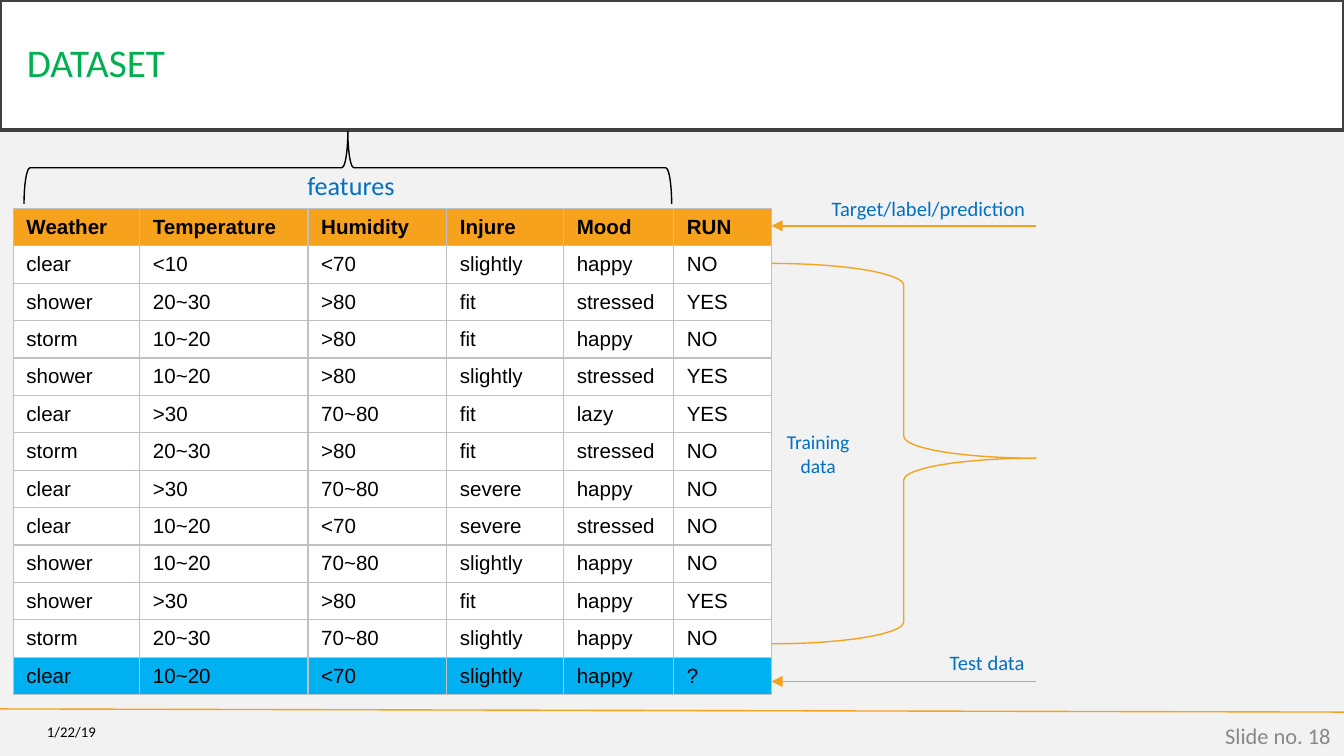
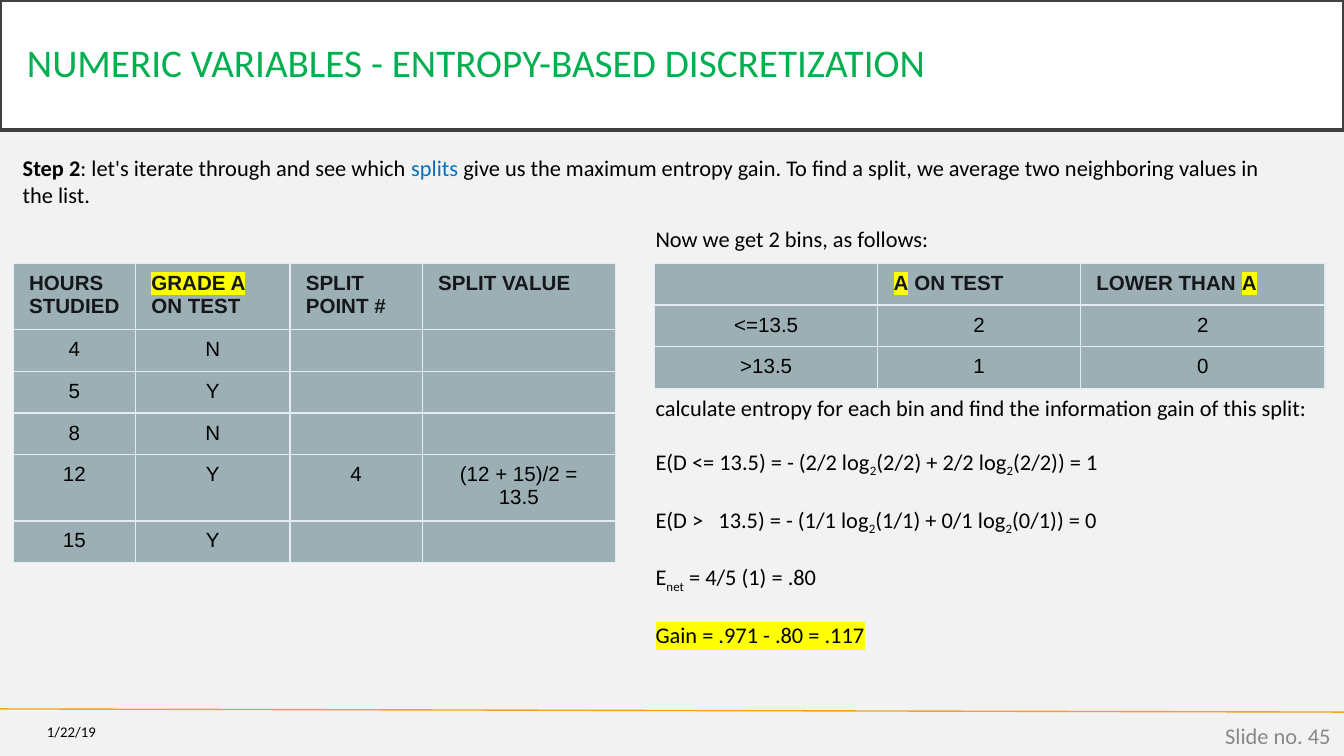
"""Build two slides on a run dataset and on entropy-based splits."""
from dataclasses import dataclass
from typing import NamedTuple

from lxml.etree import SubElement
from pptx import Presentation
from pptx.dml.color import RGBColor
from pptx.enum.shapes import MSO_CONNECTOR, MSO_SHAPE
from pptx.enum.text import MSO_ANCHOR, MSO_AUTO_SIZE, PP_ALIGN
from pptx.oxml.ns import qn
from pptx.slide import Slide
from pptx.util import Cm, Pt

HUES = {
    "page": "F2F2F2", "white": "FFFFFF", "black": "000000", "frame": "404040",
    "green": "00B050", "blue": "0070C0", "sky": "00B0F0", "gold": "F6A21D",
    "gray": "888888", "rule": "BDC1C4", "slate": "9BAFB5", "pale": "E3ECF3",
    "ink": "15171A", "mark": "FFFF00",
}
WIDE, HIGH = 25.4, 14.29
EDGE = 14.58


class Box(NamedTuple):
    """A place on the slide in centimetres."""
    x: float
    y: float
    w: float
    h: float


class Bit(NamedTuple):
    """A piece of text with its look."""
    text: str
    look: str = ""


@dataclass
class Note:
    """A text box with one or more lines."""
    box: Box
    lines: list
    size: float = 12
    hue: str = "black"
    align: PP_ALIGN = PP_ALIGN.LEFT
    grow: bool = True
    gap: float = 0


@dataclass
class Arrow:
    """A line between two points."""
    x1: float
    y1: float
    x2: float
    y2: float
    head: bool = True


@dataclass
class Brace:
    """A right brace, turned when asked."""
    box: Box
    hue: str
    mid: float = 0.5
    turn: int = 0
    text: str = ""


@dataclass
class Grid:
    """A table with its cell style."""
    box: Box
    cols: list
    row: float
    cells: list
    fills: list
    edge: str
    pad: tuple
    ink: str = "black"
    align: PP_ALIGN = PP_ALIGN.LEFT
    anchor: MSO_ANCHOR = MSO_ANCHOR.TOP


def tint(key: str) -> RGBColor:
    """Return the named colour."""
    return RGBColor.from_string(HUES[key])


def place(box: Box) -> list:
    """Return the box as lengths."""
    return [Cm(v) for v in box]


def style(run, look: str, size: float, hue: str, face: str, bold: bool) -> None:
    """Format one run."""
    font = run.font
    font.size, font.name, font.bold = Pt(size), face, bold or look == "bold"
    font.color.rgb = tint("blue" if look == "blue" else hue)
    props = run._r.get_or_add_rPr()
    if look == "sub":
        props.set("baseline", "-25000")
    elif look == "wide":
        props.set("spc", "540")
    elif look == "mark":
        mark = SubElement(props, qn("a:highlight"))
        SubElement(mark, qn("a:srgbClr"), val=HUES["mark"])
        props.find(qn("a:solidFill")).addnext(mark)


def write(para, line, size: float, hue: str, face: str = "Calibri",
          bold: bool = False) -> None:
    """Fill a paragraph with a string or a list of bits."""
    bits = [Bit(line)] if isinstance(line, str) else line
    para.text = bits[0].text
    for bit in bits[1:]:
        para.add_run().text = bit.text
    for run, bit in zip(para.runs, bits):
        style(run, bit.look, size, hue, face, bold)
    if not para.runs:
        SubElement(para._p, qn("a:endParaRPr"), sz=str(int(size * 100)))


def add_note(slide: Slide, note: Note) -> None:
    """Draw a text box."""
    frame = slide.shapes.add_textbox(*place(note.box)).text_frame
    frame.word_wrap = True
    if note.grow:
        frame.auto_size = MSO_AUTO_SIZE.SHAPE_TO_FIT_TEXT
    else:
        frame.vertical_anchor = MSO_ANCHOR.MIDDLE
    for i, line in enumerate(note.lines):
        para = frame.add_paragraph() if i else frame.paragraphs[0]
        para.alignment = note.align
        para.space_before = Pt(note.gap if i else 0)
        write(para, line, note.size, note.hue)


def add_arrow(slide: Slide, arrow: Arrow) -> None:
    """Draw a gold line, with a head if asked."""
    ends = [Cm(v) for v in (arrow.x1, arrow.y1, arrow.x2, arrow.y2)]
    link = slide.shapes.add_connector(MSO_CONNECTOR.STRAIGHT, *ends)
    link.line.color.rgb, link.line.width = tint("gold"), Pt(0.75)
    if arrow.head:
        SubElement(link.line._get_or_add_ln(), qn("a:tailEnd"), type="triangle")
    SubElement(link._element.spPr, qn("a:effectLst"))


def add_brace(slide: Slide, brace: Brace) -> None:
    """Draw a brace with its text."""
    shape = slide.shapes.add_shape(MSO_SHAPE.RIGHT_BRACE, *place(brace.box))
    shape.adjustments[0], shape.adjustments[1] = 0.083, brace.mid
    shape.rotation = brace.turn
    shape.shadow.inherit = False
    shape.fill.background()
    shape.line.color.rgb, shape.line.width = tint(brace.hue), Pt(0.75)
    if brace.text:
        para = shape.text_frame.paragraphs[0]
        para.alignment = PP_ALIGN.CENTER
        write(para, brace.text, 10.5, "blue")


def add_edges(cell, hue: str) -> None:
    """Rule all four sides of a cell."""
    props = cell._tc.get_or_add_tcPr()
    for i, side in enumerate(("lnL", "lnR", "lnT", "lnB")):
        line = SubElement(props, qn(f"a:{side}"), w=str(Pt(0.75)))
        fill = SubElement(line, qn("a:solidFill"))
        SubElement(fill, qn("a:srgbClr"), val=HUES[hue])
        props.insert(i, line)


def add_grid(slide: Slide, grid: Grid) -> None:
    """Draw a table with a bold first row."""
    size = len(grid.cells), len(grid.cols)
    frame = slide.shapes.add_table(*size, *place(grid.box))
    table = frame.table
    table.first_row = table.horz_banding = False
    for col, width in zip(table.columns, grid.cols):
        col.width = Cm(width)
    for r, line in enumerate(grid.cells):
        table.rows[r].height = Cm(grid.row)
        for c, text in enumerate(line):
            cell = table.cell(r, c)
            cell.margin_left = cell.margin_right = Cm(grid.pad[0])
            cell.margin_top = cell.margin_bottom = Cm(grid.pad[1])
            cell.vertical_anchor = grid.anchor
            cell.fill.solid()
            cell.fill.fore_color.rgb = tint(grid.fills[r])
            add_edges(cell, grid.edge)
            para = cell.text_frame.paragraphs[0]
            para.alignment = grid.align if r else PP_ALIGN.LEFT
            write(para, text, 11, "black" if r else grid.ink, "Arial", r == 0)
    frame.height = Cm(grid.box.h)


def add_page(deck, title: str, page: int) -> Slide:
    """Add a slide with the shared title, rule and footer."""
    slide = deck.slides.add_slide(deck.slide_layouts[5])
    slide.background.fill.solid()
    slide.background.fill.fore_color.rgb = tint("page")
    head = slide.shapes.title
    head.left, head.top, head.width, head.height = place(Box(0, 0, WIDE, 2.46))
    head.fill.solid()
    head.fill.fore_color.rgb = tint("white")
    head.line.color.rgb, head.line.width = tint("frame"), Pt(2.5)
    frame = head.text_frame
    frame.auto_size, frame.word_wrap = MSO_AUTO_SIZE.NONE, True
    frame.vertical_anchor = MSO_ANCHOR.MIDDLE
    frame.margin_left = frame.margin_right = Cm(0.51)
    frame.margin_top = frame.margin_bottom = Cm(0.51)
    para = frame.paragraphs[0]
    para.alignment, para.line_spacing = PP_ALIGN.LEFT, 0.9
    write(para, title, 21, "green")
    add_arrow(slide, Arrow(0, 13.4, WIDE, 13.46, False))
    right = PP_ALIGN.RIGHT
    add_note(slide, Note(Box(0, 13.49, 2.06, 0.69), ["1/22/19"], 7.9,
                         "black", right, False))
    add_note(slide, Note(Box(19.69, 13.52, 5.71, 0.76), [f"Slide no. {page}"],
                         12, "gray", right, False))
    return slide


RUNS = """Weather Temperature Humidity Injure Mood RUN
clear <10 <70 slightly happy NO
shower 20~30 >80 fit stressed YES
storm 10~20 >80 fit happy NO
shower 10~20 >80 slightly stressed YES
clear >30 70~80 fit lazy YES
storm 20~30 >80 fit stressed NO
clear >30 70~80 severe happy NO
clear 10~20 <70 severe stressed NO
shower 10~20 70~80 slightly happy NO
shower >30 >80 fit happy YES
storm 20~30 70~80 slightly happy NO
clear 10~20 <70 slightly happy ?"""

HOURS = [
    ["HOURS STUDIED", [Bit("GRADE A", "mark"), Bit(" ON TEST")],
     "SPLIT POINT #", "SPLIT VALUE"],
    ["4", "N", "", ""],
    ["5", "Y", "", ""],
    ["8", "N", "", ""],
    ["12", "Y", "4", "(12 + 15)/2 = 13.5"],
    ["15", "Y", "", ""],
]
BINS = [
    ["", [Bit("A", "mark"), Bit(" ON TEST")],
     [Bit("LOWER THAN "), Bit("A", "mark")]],
    ["<=13.5", "2", "2"],
    [">13.5", "1", "0"],
]
STEP = [Bit("Step 2", "bold"), Bit(": let's iterate through and see which "),
        Bit("splits", "blue"),
        Bit(" give us the maximum entropy gain. To find a split, we average "
            "two neighboring values in the list.")]
TWO = Bit("2", "sub")
SUMS = [
    "calculate entropy for each bin and find the information gain of this split:",
    [Bit("E(D <= 13.5) = - (2/2 log"), TWO, Bit("(2/2) + 2/2 log"), TWO,
     Bit("(2/2)) = 1")],
    [Bit("E(D >"), Bit(" ", "wide"), Bit("13.5) = - (1/1 log"), TWO,
     Bit("(1/1) + 0/1 log"), TWO, Bit("(0/1)) = 0")],
    [Bit("E"), Bit("net", "sub"), Bit(" = 4/5 (1) = .80")],
    [Bit("Gain = .971 - .80 = .117", "mark")],
]


def draw_data(deck) -> None:
    """Draw the dataset slide."""
    slide = add_page(deck, "DATASET", 18)
    cells = [line.split() for line in RUNS.splitlines()]
    fills = ["gold"] + ["white"] * (len(cells) - 2) + ["sky"]
    add_grid(slide, Grid(Box(0.25, 3.94, 14.33, 9.27),
                         [2.39, 3.18, 2.62, 2.21, 2.08, 1.85], 0.68, cells,
                         fills, "rule", (0.25, 0.12),
                         anchor=MSO_ANCHOR.MIDDLE))
    add_brace(slide, Brace(Box(EDGE, 4.98, 5, 7.19), "gold", 0.512,
                           text="Training data"))
    add_brace(slide, Brace(Box(5.89, -2.95, 1.37, 12.24), "black", turn=270))
    for y in (4.27, 12.88):
        add_arrow(slide, Arrow(EDGE + 5, y, EDGE, y))
    for box, text, size in (
            (Box(17.7, 12.17, 2.84, 0.74), "Test data", 11),
            (Box(5.56, 3.07, 2.77, 0.86), "features", 14),
            (Box(15.47, 3.58, 5.08, 0.74), "Target/label/prediction", 11)):
        add_note(slide, Note(box, [text], size, "blue"))


def draw_split(deck) -> None:
    """Draw the entropy slide."""
    slide = add_page(deck, "NUMERIC VARIABLES - ENTROPY-BASED DISCRETIZATION", 45)
    add_note(slide, Note(Box(0.18, 2.79, 24.21, 1.8), [STEP]))
    for box, cols, row, cells in (
            (Box(0.25, 4.98, 11.38, 6.1), [2.31, 2.92, 2.5, 3.65], 0.66, HOURS),
            (Box(12.37, 4.98, 12.67, 2.36), [4.22, 3.83, 4.62], 0.53, BINS)):
        add_grid(slide, Grid(box, cols, row, cells, ["slate"] * len(cells),
                             "pale", (0.3, 0.16), "ink", PP_ALIGN.CENTER))
    add_note(slide, Note(Box(12.14, 4.14, 5.77, 0.76),
                         ["Now we get 2 bins, as follows:"]))
    add_note(slide, Note(Box(12.14, 7.32, 13.03, 5.38), SUMS, gap=14.6))


def main() -> None:
    """Build and save the deck."""
    deck = Presentation()
    deck.slide_width, deck.slide_height = Cm(WIDE), Cm(HIGH)
    draw_data(deck)
    draw_split(deck)
    deck.save("out.pptx")


if __name__ == "__main__":
    main()
